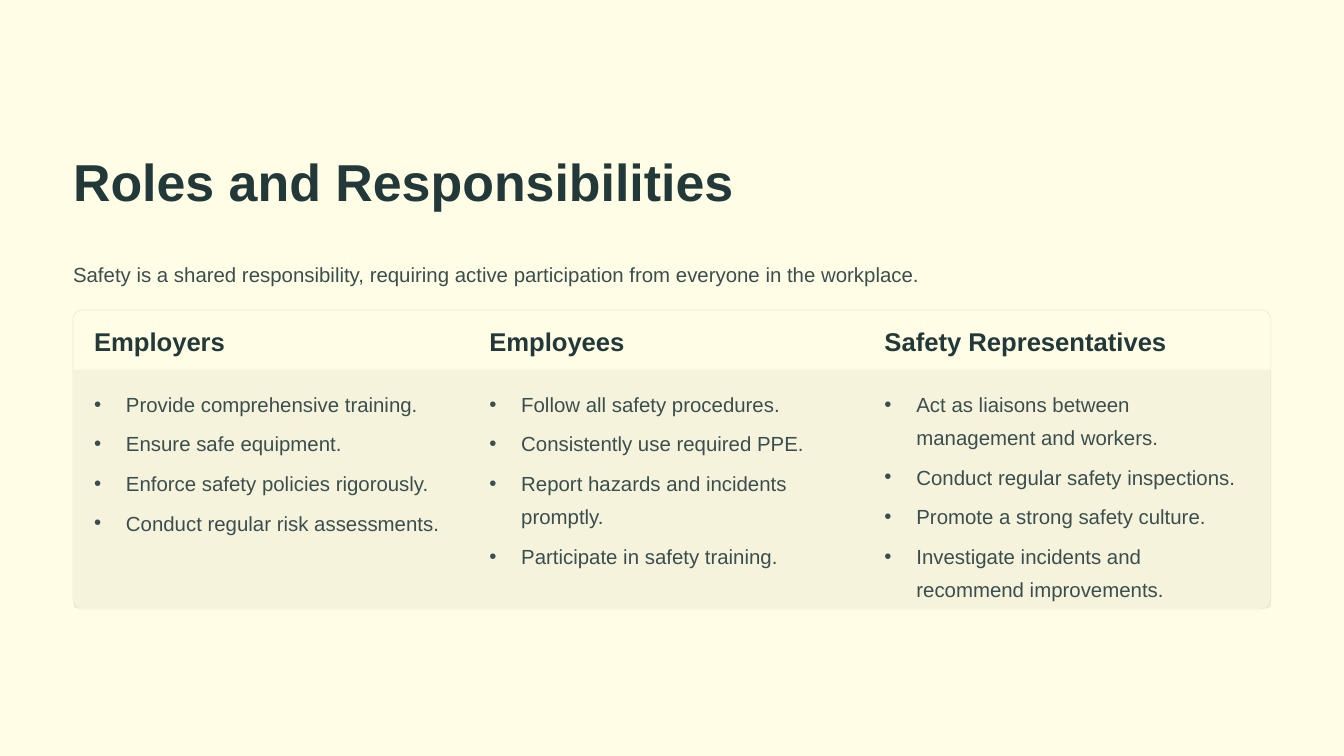
from lxml.etree import SubElement
from pptx import Presentation
from pptx.dml.color import RGBColor
from pptx.enum.shapes import MSO_SHAPE as Shape
from pptx.enum.text import MSO_ANCHOR, MSO_AUTO_SIZE, PP_ALIGN
from pptx.oxml.ns import qn
from pptx.util import Inches, Pt

TITLE = "Roles and Responsibilities"
INTRO = "Safety is a shared responsibility, requiring active participation from everyone in the workplace."
ROLES = [
    ("Employers", 4.2, [
        "Provide comprehensive training.",
        "Ensure safe equipment.",
        "Enforce safety policies rigorously.",
        "Conduct regular risk assessments.",
    ]),
    ("Employees", 4.2, [
        "Follow all safety procedures.",
        "Consistently use required PPE.",
        "Report hazards and incidents promptly.",
        "Participate in safety training.",
    ]),
    ("Safety Representatives", 4.34, [
        "Act as liaisons between management and workers.",
        "Conduct regular safety inspections.",
        "Promote a strong safety culture.",
        "Investigate incidents and recommend improvements.",
    ]),
]

FONT = "Arial"
CREAM = RGBColor(0xFF, 0xFD, 0xE6)
DARK = RGBColor(0x23, 0x39, 0x39)
SLATE = RGBColor(0x3B, 0x4E, 0x4E)
BLACK = RGBColor(0x00, 0x00, 0x00)
WHITE = RGBColor(0xFF, 0xFF, 0xFF)

LEFT, WIDTH = 0.87, 14.26
FIRST_COLUMN, COLUMN_STEP = 1.12, 4.705
BULLET_INDENT = Inches(0.38)


def set_opacity(fill, percent):
    """Set the opacity of a solid fill."""
    color = fill._xPr.find(qn("a:solidFill"))[0]
    SubElement(color, qn("a:alpha")).set("val", str(percent * 1000))


def add_panel(slide, kind, left, top, width, height):
    """Add a shape without fill, line or shadow."""
    panel = slide.shapes.add_shape(kind, Inches(left), Inches(top), Inches(width), Inches(height))
    panel.shadow.inherit = False
    panel.fill.background()
    panel.line.fill.background()
    return panel


def add_band(slide, top, height, color):
    """Add a tinted band across the role panel."""
    band = add_panel(slide, Shape.RECTANGLE, LEFT + 0.01, top, WIDTH - 0.01, height)
    band.fill.solid()
    band.fill.fore_color.rgb = color
    set_opacity(band.fill, 4)


def write(holder, place, lines, size, spacing, color, bold=False, bullets=False):
    """Place a text holder and fill it with paragraphs."""
    holder.left, holder.top, holder.width, holder.height = map(Inches, place)
    frame = holder.text_frame
    frame.margin_left = frame.margin_right = frame.margin_top = frame.margin_bottom = 0
    frame.auto_size = MSO_AUTO_SIZE.NONE
    frame.vertical_anchor = MSO_ANCHOR.TOP
    frame.word_wrap = True
    for index, line in enumerate(lines):
        paragraph = frame.add_paragraph() if index else frame.paragraphs[0]
        paragraph.alignment = PP_ALIGN.LEFT
        paragraph.line_spacing = Pt(spacing)
        if index:
            paragraph.space_before = Pt(5.5)
        if bullets:
            properties = paragraph._p.get_or_add_pPr()
            properties.set("marL", str(BULLET_INDENT))
            properties.set("indent", str(-BULLET_INDENT))
            SubElement(properties, qn("a:buFont")).set("typeface", FONT)
            SubElement(properties, qn("a:buChar")).set("char", "•")
        run = paragraph.add_run()
        run.text = line
        run.font.name = FONT
        run.font.size = Pt(size)
        run.font.bold = bold
        run.font.color.rgb = color


def add_text(slide, place, *details, **options):
    """Add a text box with formatted paragraphs."""
    write(slide.shapes.add_textbox(0, 0, 0, 0), place, *details, **options)


def main():
    """Build the roles and responsibilities slide."""
    deck = Presentation()
    deck.slide_width, deck.slide_height = Inches(16), Inches(9)
    slide = deck.slides.add_slide(deck.slide_layouts[5])
    slide.background.fill.solid()
    slide.background.fill.fore_color.rgb = CREAM

    write(slide.shapes.title, (LEFT, 1.75, 8.8, 0.78), [TITLE], 44.5, 55.5, DARK, bold=True)
    add_text(slide, (LEFT, 3.02, WIDTH, 0.4), [INTRO], 17.5, 28.5, SLATE)

    border = add_panel(slide, Shape.ROUNDED_RECTANGLE, LEFT, 3.69, WIDTH, 3.56)
    border.adjustments[0] = 0.03
    border.line.color.rgb = BLACK
    border.line.width = Pt(0.6)
    set_opacity(border.line.fill, 8)
    add_band(slide, 3.7, 0.7, WHITE)
    add_band(slide, 4.4, 2.84, BLACK)

    for column, (role, width, duties) in enumerate(ROLES):
        left = FIRST_COLUMN + column * COLUMN_STEP
        add_text(slide, (left, 3.86, width, 0.39), [role], 22, 27.5, DARK, bold=True)
        add_text(slide, (left, 4.56, width, 2.6), duties, 17.5, 28.5, SLATE, bullets=True)

    deck.save("out.pptx")


if __name__ == "__main__":
    main()
